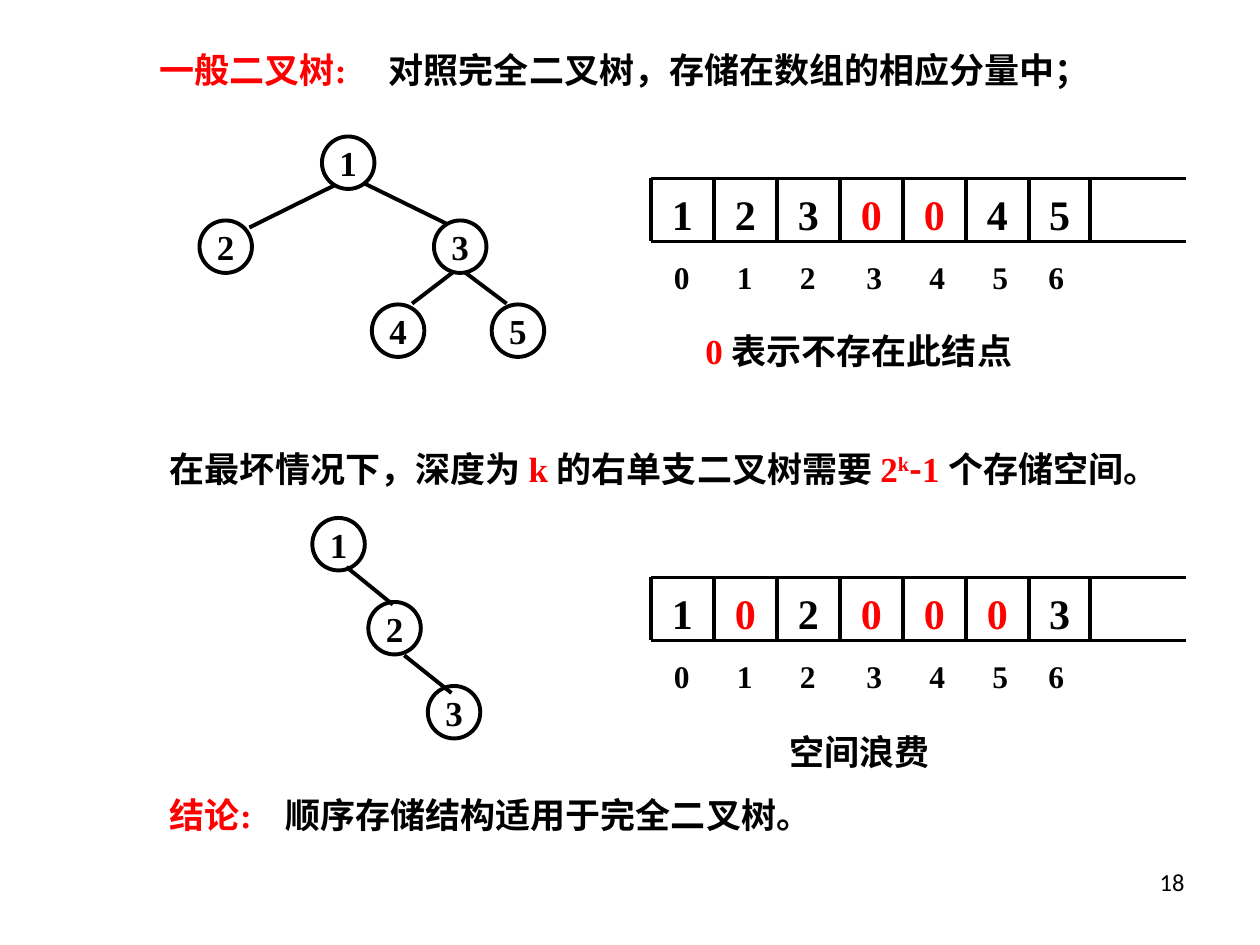
from dataclasses import dataclass
from itertools import pairwise

from lxml import etree
from pptx import Presentation
from pptx.dml.color import RGBColor
from pptx.enum.shapes import MSO_CONNECTOR, MSO_SHAPE
from pptx.enum.text import MSO_ANCHOR, MSO_AUTO_SIZE, PP_ALIGN
from pptx.oxml.ns import qn
from pptx.util import Pt

STRAIGHT = MSO_CONNECTOR.STRAIGHT
OVAL = MSO_SHAPE.OVAL
TOP, MIDDLE = MSO_ANCHOR.TOP, MSO_ANCHOR.MIDDLE
LEFT, CENTER, RIGHT = PP_ALIGN.LEFT, PP_ALIGN.CENTER, PP_ALIGN.RIGHT
FIXED = MSO_AUTO_SIZE.NONE


@dataclass(frozen=True)
class Theme:
    ink: RGBColor = RGBColor(0, 0, 0)
    accent: RGBColor = RGBColor(255, 0, 0)
    latin: str = "Times New Roman"
    chinese: str = "Noto Sans CJK SC"
    footer: str = "Calibri"
    body_size: int = 20
    cell_size: int = 24
    index_size: int = 18
    footer_size: int = 14
    stroke: float = 2.25


THEME = Theme()
NODE = 30
CELL = 36
LAST_CELL = 35
ARRAY_WIDTH = 306
INDEX_TABS = (36, 72, 110, 146, 182, 214)


def add_run(paragraph, text, color=THEME.ink, size=THEME.body_size,
            latin=THEME.latin, bold=True, baseline=None):
    run = paragraph.add_run()
    run.text = text
    run.font.size = Pt(size)
    run.font.bold = bold
    run.font.name = latin
    run.font.color.rgb = color
    properties = run._r.get_or_add_rPr()
    east_asian = etree.SubElement(properties, qn("a:ea"))
    east_asian.set("typeface", THEME.chinese)
    if baseline:
        properties.set("baseline", str(baseline))


def add_tabs(paragraph, stops):
    tab_list = etree.SubElement(paragraph._p.get_or_add_pPr(), qn("a:tabLst"))
    for stop in stops:
        etree.SubElement(tab_list, qn("a:tab"), pos=str(Pt(stop)), algn="l")


def prepare_frame(frame, anchor=TOP, align=LEFT, inset=True):
    frame.word_wrap = True
    frame.auto_size = FIXED
    frame.vertical_anchor = anchor
    frame.margin_left = frame.margin_right = Pt(7.2 if inset else 0)
    frame.margin_top = frame.margin_bottom = Pt(3.6 if inset else 0)
    paragraph = frame.paragraphs[0]
    paragraph.alignment = align
    return paragraph


def add_label(slide, box, **layout):
    label = slide.shapes.add_textbox(*map(Pt, box))
    return prepare_frame(label.text_frame, **layout)


def add_line(slide, x1, y1, x2, y2):
    line = slide.shapes.add_connector(STRAIGHT, Pt(x1), Pt(y1), Pt(x2), Pt(y2))
    line.line.color.rgb = THEME.ink
    line.line.width = Pt(THEME.stroke)
    etree.SubElement(line._element.spPr, qn("a:effectLst"))


def add_heading(slide, box):
    heading = slide.shapes.title
    heading.left, heading.top, heading.width, heading.height = map(Pt, box)
    paragraph = prepare_frame(heading.text_frame)
    add_tabs(paragraph, [131])
    add_run(paragraph, "一般二叉树:\t", THEME.accent)
    add_run(paragraph, "对照完全二叉树，存储在数组的相应分量中；")


def add_tree(slide, origin, nodes, edges):
    left, top = origin
    for value, x, y in nodes:
        node = slide.shapes.add_shape(
            OVAL, Pt(left + x), Pt(top + y), Pt(NODE), Pt(NODE))
        node.shadow.inherit = False
        node.fill.background()
        node.line.color.rgb = THEME.ink
        node.line.width = Pt(THEME.stroke)
        paragraph = prepare_frame(node.text_frame, MIDDLE, CENTER, inset=False)
        add_run(paragraph, value)
    for x1, y1, x2, y2 in edges:
        add_line(slide, left + x1, top + y1, left + x2, top + y2)


def add_array(slide, origin, values):
    left, top = origin
    bottom = top + CELL
    for y in (top, bottom):
        add_line(slide, left, y, left + ARRAY_WIDTH, y)
    walls = [left + CELL * i for i in range(len(values))]
    walls.append(walls[-1] + LAST_CELL)
    for x in walls:
        add_line(slide, x, top, x, bottom)
    for value, (start, end) in zip(values, pairwise(walls)):
        paragraph = add_label(slide, (start, top + 2, end - start, CELL),
                              anchor=MIDDLE, align=CENTER, inset=False)
        color = THEME.accent if value == "0" else THEME.ink
        add_run(paragraph, value, color, THEME.cell_size)
    indices = add_label(slide, (left + 6, top + 42, ARRAY_WIDTH, 32))
    add_tabs(indices, INDEX_TABS)
    add_run(indices, "\t".join(map(str, range(len(values)))),
            size=THEME.index_size)


def add_worst_case(slide, box):
    paragraph = add_label(slide, box)
    add_run(paragraph, "在最坏情况下，深度为 ")
    add_run(paragraph, "k ", THEME.accent)
    add_run(paragraph, "的右单支二叉树需要 ")
    add_run(paragraph, "2", THEME.accent)
    add_run(paragraph, "k", THEME.accent, baseline=30000)
    add_run(paragraph, "-", THEME.accent, latin=THEME.chinese)
    add_run(paragraph, "1 ", THEME.accent)
    add_run(paragraph, "个存储空间。")


def add_conclusion(slide, box):
    paragraph = add_label(slide, box)
    add_tabs(paragraph, [66])
    add_run(paragraph, "结论:\t", THEME.accent)
    add_run(paragraph, "顺序存储结构适用于完全二叉树。")


def add_page_number(slide, box):
    paragraph = add_label(slide, box, align=RIGHT)
    add_run(paragraph, "18", size=THEME.footer_size,
            latin=THEME.footer, bold=False)


def main():
    presentation = Presentation()
    presentation.slide_width, presentation.slide_height = Pt(720), Pt(540)
    slide = presentation.slides.add_slide(presentation.slide_layouts[5])

    add_heading(slide, (84, 24, 576, 32))
    add_tree(
        slide, (114, 78),
        [("1", 70, 0), ("2", 0, 48), ("3", 134, 48),
         ("4", 98.5, 96), ("5", 167, 96)],
        [(77, 28, 28.5, 52), (93.5, 26.5, 141.5, 50),
         (145, 77.5, 121.5, 95.5), (151.5, 77.5, 175.5, 95.5)])
    add_array(slide, (372, 102), "1230045")
    absent_note = add_label(slide, (396, 185, 288, 32))
    add_run(absent_note, "0 ", THEME.accent)
    add_run(absent_note, "表示不存在此结点")

    add_worst_case(slide, (90, 252, 594, 32))
    add_tree(
        slide, (178.5, 296),
        [("1", 0, 0), ("2", 32, 48), ("3", 66, 96)],
        [(19.5, 28, 46, 49.5), (52.5, 78.5, 79.5, 100)])
    add_array(slide, (372, 330), "1020003")
    waste_note = add_label(slide, (444, 414, 198, 32))
    add_run(waste_note, "空间浪费")

    add_conclusion(slide, (90, 450, 564, 32))
    add_page_number(slide, (516, 492, 168, 37))
    presentation.save("out.pptx")


if __name__ == "__main__":
    main()
